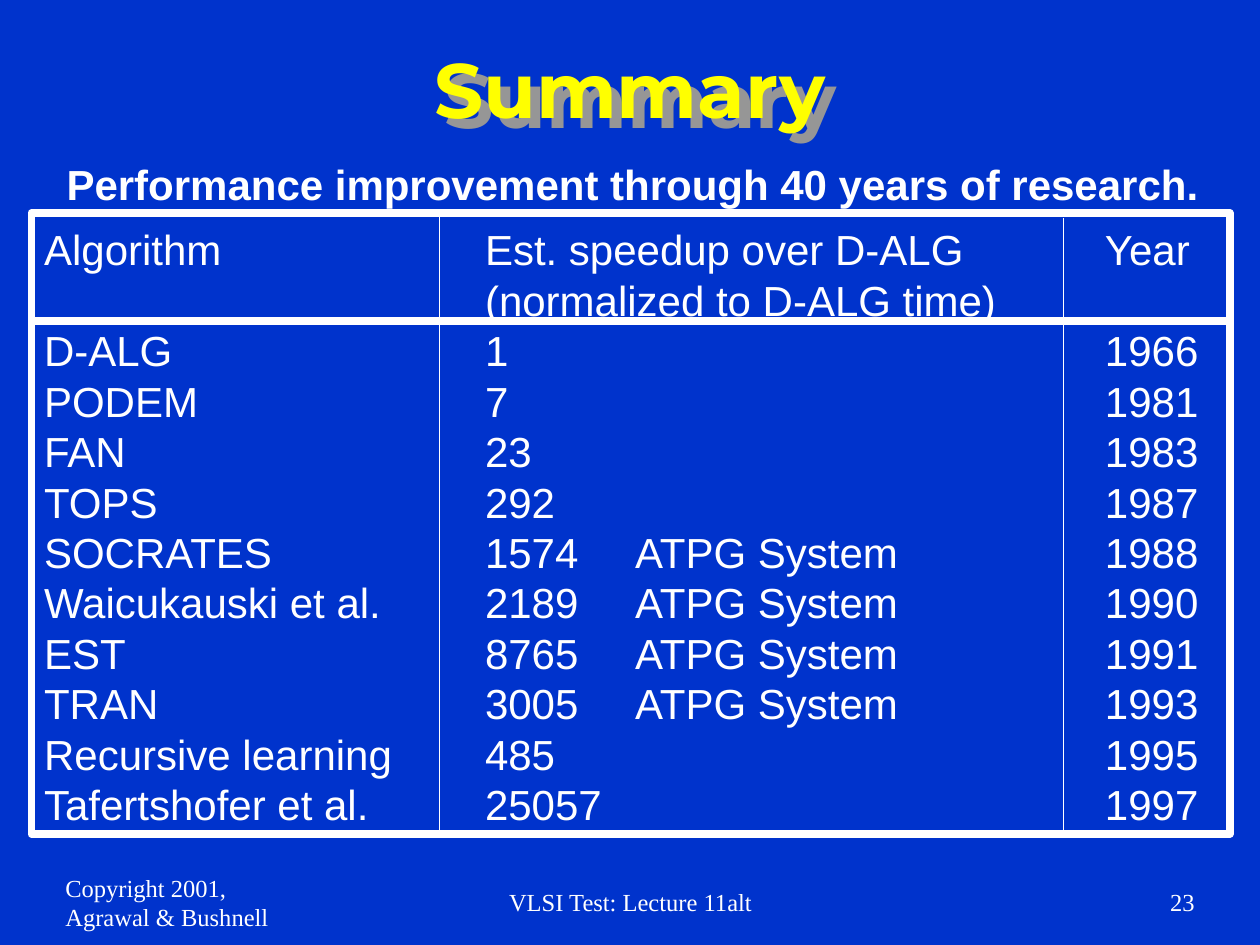
from dataclasses import dataclass

from lxml.etree import SubElement
from pptx import Presentation
from pptx.dml.color import RGBColor
from pptx.enum.shapes import MSO_CONNECTOR as CONNECTOR, MSO_SHAPE as SHAPE
from pptx.enum.text import MSO_ANCHOR as ANCHOR, PP_ALIGN as ALIGN
from pptx.oxml import parse_xml
from pptx.oxml.ns import nsdecls, qn
from pptx.util import Emu, Inches, Pt

WHITE, YELLOW, BLUE, GRAY = "FFFFFF", "FFFF00", "0033CC", "969696"
THICK, THIN = 4.5, 0.75
LEFT, RIGHT, TOP, BOTTOM = 0.25, 9.76, 1.69, 6.62
ROW_HEIGHT = 0.4


@dataclass
class Column:
    width: float
    indent: float


@dataclass
class Rule:
    x1: float
    y1: float
    x2: float
    y2: float
    weight: float


@dataclass
class Label:
    text: str
    left: float
    top: float
    width: float
    size: int = 14
    font: str = "Times New Roman"
    bold: bool = False
    align: ALIGN = ALIGN.LEFT


COLUMNS = [Column(3.24, 0.1), Column(4.95, 0.36), Column(1.32, 0.33)]
ROWS = [
    ("Algorithm", "Est. speedup over D-ALG\n(normalized to D-ALG time)", "Year"),
    ("D-ALG", "1", "1966"),
    ("PODEM", "7", "1981"),
    ("FAN", "23", "1983"),
    ("TOPS", "292", "1987"),
    ("SOCRATES", "1574\tATPG System", "1988"),
    ("Waicukauski et al.", "2189\tATPG System", "1990"),
    ("EST", "8765\tATPG System", "1991"),
    ("TRAN", "3005\tATPG System", "1993"),
    ("Recursive learning", "485", "1995"),
    ("Tafertshofer et al.", "25057", "1997"),
]
RULES = [
    Rule(RIGHT, 2.55, LEFT, 2.55, THICK),
    Rule(3.49, 1.72, 3.49, BOTTOM, THIN),
    Rule(8.44, 1.73, 8.44, BOTTOM, THIN),
]
LABELS = [
    Label("Performance improvement through 40 years of research.", 0.43, 1.21, 9.3,
          24, "Arial", bold=True),
    Label("VLSI Test: Lecture 11alt", 3.42, 6.91, 3.17, align=ALIGN.CENTER),
    Label("23", 7.5, 6.91, 2.08, align=ALIGN.RIGHT),
    Label("Copyright 2001, Agrawal & Bushnell", 0.42, 6.91, 2.08),
]


def rgb(color: str) -> RGBColor:
    return RGBColor.from_string(color)


def style(p, size: int, font: str, color: str = WHITE, bold: bool = False) -> None:
    for r in p.runs:
        r.font.size, r.font.name, r.font.bold = Pt(size), font, bold
        r.font.color.rgb = rgb(color)


def add_title(s, text: str) -> None:
    sp = s.shapes.title
    sp.left, sp.top = Inches(0.75), Inches(0.25)
    sp.width, sp.height = Inches(8.5), Inches(0.86)
    tf = sp.text_frame
    tf.text = text
    tf.vertical_anchor = ANCHOR.BOTTOM
    p = tf.paragraphs[0]
    p.alignment = ALIGN.CENTER
    style(p, 44, "Montserrat", YELLOW, bold=True)
    # Hard drop shadow behind the letters
    sp._element.spPr.append(parse_xml(
        f'<a:effectLst {nsdecls("a")}><a:outerShdw dist="{Inches(0.12)}" dir="2700000" '
        f'algn="ctr" rotWithShape="0"><a:srgbClr val="{GRAY}"/></a:outerShdw></a:effectLst>'))


def add_label(s, label: Label) -> None:
    sp = s.shapes.add_textbox(Inches(label.left), Inches(label.top),
                              Inches(label.width), Inches(0.5))
    tf = sp.text_frame
    tf.text = label.text
    tf.word_wrap = True
    tf.vertical_anchor = ANCHOR.MIDDLE
    p = tf.paragraphs[0]
    p.alignment = label.align
    style(p, label.size, label.font, bold=label.bold)


def hide_borders(cell) -> None:
    tc_pr = cell._tc.get_or_add_tcPr()
    for i, side in enumerate(("L", "R", "T", "B")):
        tc_pr.insert(i, parse_xml(
            f'<a:ln{side} {nsdecls("a")} w="0"><a:noFill/></a:ln{side}>'))


def fill_cell(cell, text: str, indent: float) -> None:
    cell.margin_left = Inches(indent)
    cell.margin_right = cell.margin_top = cell.margin_bottom = Emu(0)
    cell.fill.background()
    cell.text_frame.text = text
    for p in cell.text_frame.paragraphs:
        p.line_spacing = Pt(ROW_HEIGHT * 72)
        if "\t" in text:
            tabs = SubElement(p._p.get_or_add_pPr(), qn("a:tabLst"))
            SubElement(tabs, qn("a:tab"), pos=str(Inches(1.19)), algn="l")
        style(p, 24, "Arial")


def add_speedup_table(s) -> None:
    # The header is two lines tall
    frame = s.shapes.add_table(len(ROWS), len(COLUMNS), Inches(LEFT), Inches(1.78),
                               Inches(RIGHT - LEFT),
                               Inches(ROW_HEIGHT * (len(ROWS) + 1)))
    table = frame.table
    table.first_row = table.horz_banding = False
    for c, column in enumerate(COLUMNS):
        table.columns[c].width = Inches(column.width)
    for r, texts in enumerate(ROWS):
        table.rows[r].height = Inches(ROW_HEIGHT if r else 2 * ROW_HEIGHT)
        for c, text in enumerate(texts):
            cell = table.cell(r, c)
            fill_cell(cell, text, COLUMNS[c].indent)
            hide_borders(cell)


def add_frame(s) -> None:
    sp = s.shapes.add_shape(SHAPE.RECTANGLE, Inches(LEFT), Inches(TOP),
                            Inches(RIGHT - LEFT), Inches(BOTTOM - TOP))
    sp.shadow.inherit = False
    sp.fill.background()
    sp.line.color.rgb = rgb(WHITE)
    sp.line.width = Pt(THICK)


def add_rule(s, rule: Rule) -> None:
    line = s.shapes.add_connector(CONNECTOR.STRAIGHT, Inches(rule.x1), Inches(rule.y1),
                                  Inches(rule.x2), Inches(rule.y2))
    line.line.color.rgb = rgb(WHITE)
    line.line.width = Pt(rule.weight)
    SubElement(line._element.spPr, qn("a:effectLst"))


def main() -> None:
    prs = Presentation()
    prs.slide_width, prs.slide_height = Inches(10), Inches(7.5)
    s = prs.slides.add_slide(prs.slide_layouts[5])
    s.background.fill.solid()
    s.background.fill.fore_color.rgb = rgb(BLUE)

    # Title and comparison table
    add_title(s, "Summary")
    add_speedup_table(s)

    # Frame and rules around the table
    add_frame(s)
    for rule in RULES:
        add_rule(s, rule)

    # Subtitle and footer
    for label in LABELS:
        add_label(s, label)
    prs.save("out.pptx")


if __name__ == "__main__":
    main()
